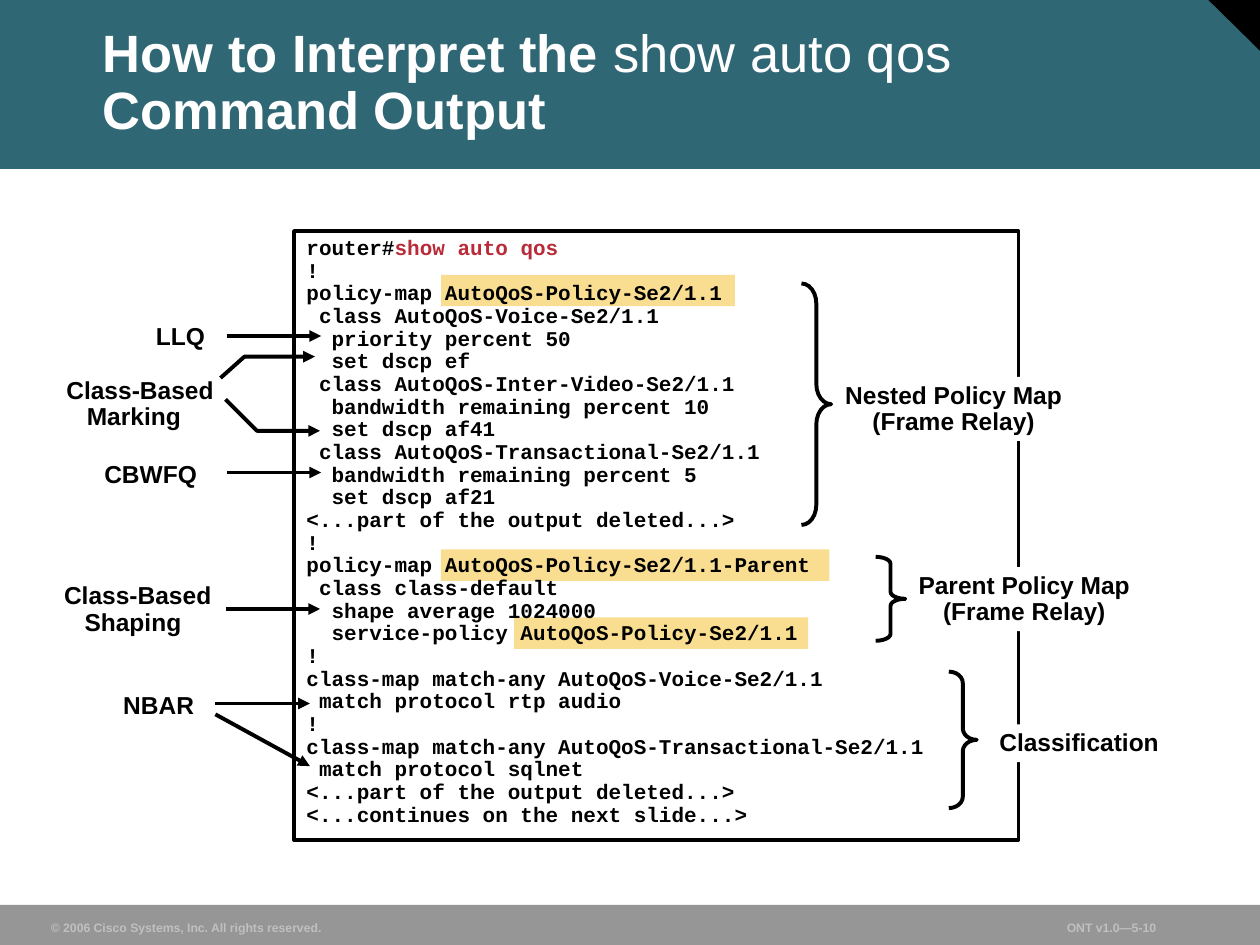
from lxml import etree
from pptx import Presentation
from pptx.dml.color import RGBColor
from pptx.enum.shapes import MSO_CONNECTOR, MSO_SHAPE
from pptx.enum.text import MSO_ANCHOR, MSO_AUTO_SIZE, PP_ALIGN
from pptx.oxml.ns import qn
from pptx.util import Pt

RECTANGLE = MSO_SHAPE.RECTANGLE
RIGHT_TRIANGLE = MSO_SHAPE.RIGHT_TRIANGLE
RIGHT_BRACE = MSO_SHAPE.RIGHT_BRACE
STRAIGHT = MSO_CONNECTOR.STRAIGHT
TOP, BOTTOM = MSO_ANCHOR.TOP, MSO_ANCHOR.BOTTOM
LEFT, CENTER = PP_ALIGN.LEFT, PP_ALIGN.CENTER
NO_AUTOSIZE = MSO_AUTO_SIZE.NONE

BLACK, WHITE = "000000", "FFFFFF"
TEAL, GRAY, SILVER = "306774", "969696", "C0C0C0"
AMBER, RED = "F9DE91", "B92B38"
LINE_WIDTH = 2.25

LISTING = """router#show auto qos
!
policy-map AutoQoS-Policy-Se2/1.1
 class AutoQoS-Voice-Se2/1.1
  priority percent 50
  set dscp ef
 class AutoQoS-Inter-Video-Se2/1.1
  bandwidth remaining percent 10
  set dscp af41
 class AutoQoS-Transactional-Se2/1.1
  bandwidth remaining percent 5
  set dscp af21
<...part of the output deleted...>
!
policy-map AutoQoS-Policy-Se2/1.1-Parent
 class class-default
  shape average 1024000
  service-policy AutoQoS-Policy-Se2/1.1
!
class-map match-any AutoQoS-Voice-Se2/1.1
 match protocol rtp audio
!
class-map match-any AutoQoS-Transactional-Se2/1.1
 match protocol sqlnet
<...part of the output deleted...>
<...continues on the next slide...>"""
PROMPT = "router#"
HIGHLIGHTS = [(84, 25, 168), (84, 182, 222), (125.8, 220.8, 168)]

MECHANISMS = [
    ("LLQ", (52.5, 0, 41, 21.6), [[(100, 10), (154, 10)]]),
    ("Class-Based\vMarking", (1.3, 30.4, 101.5, 36.7),
     [[(96.5, 34), (110.2, 21.8), (150.5, 21.8)],
      [(99.4, 46.2), (117.4, 64.2), (153.4, 64.2)]]),
    ("CBWFQ", (23, 78.6, 66.2, 21.6), [[(100, 88), (154, 88)]]),
    ("Class-Based\vShaping", (0, 147.8, 97.2, 36.7), [[(99.4, 166), (153.4, 166)]]),
    ("NBAR", (33.8, 210.4, 53.3, 21.6),
     [[(93.6, 220), (147.6, 220)], [(93.6, 226.2), (147.6, 255.8)]]),
]
SECTIONS = [
    ("Nested Policy Map\v(Frame Relay)", (290, 30, 17, 138), (308.6, 83.3, 136.8, 36.7)),
    ("Parent Policy Map\v(Frame Relay)", (332.4, 186.2, 17, 48), (350.4, 192, 133.9, 36.7)),
    ("Classification", (374.2, 251.8, 16, 78), (396.5, 282, 104.4, 21.6)),
]


def color(value):
    return RGBColor.from_string(value)


def within(box, part):
    return (box[0] + part[0], box[1] + part[1], *part[2:])


def add_block(slide, kind, box, fill=None, line=None):
    block = slide.shapes.add_shape(kind, *map(Pt, box))
    block.shadow.inherit = False
    if fill:
        block.fill.solid()
        block.fill.fore_color.rgb = color(fill)
    else:
        block.fill.background()
    if line:
        block.line.color.rgb = color(line)
        block.line.width = Pt(LINE_WIDTH)
    else:
        block.line.fill.background()
    return block


def format_run(run, size, shade, font="Arial", bold=True):
    run.font.size = Pt(size)
    run.font.name = font
    run.font.bold = bold
    run.font.color.rgb = color(shade)


def set_frame(frame, anchor=TOP, wrap=False):
    frame.auto_size = NO_AUTOSIZE
    frame.word_wrap = wrap
    frame.vertical_anchor = anchor
    frame.margin_left = frame.margin_right = Pt(7.2)
    frame.margin_top = frame.margin_bottom = Pt(3.6)


def size_breaks(paragraph, size):
    for line_break in paragraph._p.findall(qn("a:br")):
        etree.SubElement(line_break, qn("a:rPr"), sz=str(size * 100))


def write_label(frame, text, size, shade, align=LEFT, anchor=TOP, spacing=0.9):
    set_frame(frame, anchor)
    paragraph = frame.paragraphs[0]
    paragraph.text = text
    paragraph.alignment = align
    paragraph.line_spacing = spacing
    size_breaks(paragraph, size)
    for run in paragraph.runs:
        format_run(run, size, shade)
    return paragraph


def add_arrow(slide, box, points):
    points = [within(box, point) for point in points]
    if len(points) == 2:
        arrow = slide.shapes.add_connector(STRAIGHT, *(Pt(v) for point in points for v in point))
        etree.SubElement(arrow._element.spPr, qn("a:effectLst"))
    else:
        corners = [(Pt(x), Pt(y)) for x, y in points]
        builder = slide.shapes.build_freeform(*corners[0])
        builder.add_line_segments(corners[1:], close=False)
        arrow = builder.convert_to_shape()
        arrow.shadow.inherit = False
        arrow.fill.background()
    arrow.line.color.rgb = color(BLACK)
    arrow.line.width = Pt(LINE_WIDTH)
    etree.SubElement(arrow.line._get_or_add_ln(), qn("a:tailEnd"), type="triangle")


def add_header(slide, box):
    add_block(slide, RECTANGLE, box, TEAL)
    corner = add_block(slide, RIGHT_TRIANGLE, within(box, (box[2] - 30, -0.5, 30, 29.5)), BLACK)
    corner.rotation = 180
    title = slide.shapes.title
    slide.shapes._spTree.append(title._element)
    title.left, title.top, title.width, title.height = map(Pt, within(box, (51.6, 18, 641.5, 66.2)))
    set_frame(title.text_frame, BOTTOM, wrap=True)
    paragraph = title.text_frame.paragraphs[0]
    paragraph.text = "How to Interpret the "
    command = paragraph.add_run()
    command.text = "show auto qos"
    paragraph.add_line_break()
    paragraph.add_run().text = "Command Output"
    paragraph.alignment = LEFT
    paragraph.line_spacing = 0.9
    size_breaks(paragraph, 30)
    for run in paragraph.runs:
        format_run(run, 30, WHITE, bold=run.text != command.text)


def add_footer(slide, box):
    add_block(slide, RECTANGLE, box, GRAY)
    for text, left, width in (("© 2006 Cisco Systems, Inc. All rights reserved.", 22, 168),
                              ("ONT v1.0—5-10", 602.5, 90)):
        note = slide.shapes.add_textbox(*map(Pt, within(box, (left, 5.7, width, 15))))
        write_label(note.text_frame, text, 7, SILVER, anchor=BOTTOM, spacing=1.0)


def add_listing(slide, box):
    add_block(slide, RECTANGLE, box, WHITE, BLACK)
    for left, top, width in HIGHLIGHTS:
        add_block(slide, RECTANGLE, within(box, (left, top, width, 18)), AMBER)
    frame = slide.shapes.add_textbox(*map(Pt, box)).text_frame
    set_frame(frame, wrap=True)
    frame.text = LISTING
    prompt = frame.paragraphs[0]
    prompt.text = PROMPT
    command = prompt.add_run()
    command.text = LISTING.splitlines()[0].removeprefix(PROMPT)
    for paragraph in frame.paragraphs:
        paragraph.line_spacing = 0.9
        for run in paragraph.runs:
            format_run(run, 12, BLACK, "Courier New")
    command.font.color.rgb = color(RED)


def add_sections(slide, box):
    for text, brace_box, label_box in SECTIONS:
        brace = add_block(slide, RIGHT_BRACE, within(box, brace_box), line=BLACK)
        brace.adjustments[0] = brace_box[3] / brace_box[2] / 12
        label = add_block(slide, RECTANGLE, within(box, label_box), WHITE)
        write_label(label.text_frame, text, 14, BLACK, CENTER)


def add_mechanisms(slide, box):
    for text, label_box, arrows in MECHANISMS:
        label = slide.shapes.add_textbox(*map(Pt, within(box, label_box)))
        paragraph = write_label(label.text_frame, text, 14, BLACK)
        properties = paragraph._p.get_or_add_pPr()
        properties.set("marL", str(Pt(11.7)))
        properties.set("indent", str(-Pt(11.7)))
        for points in arrows:
            add_arrow(slide, box, points)


def main():
    deck = Presentation()
    deck.slide_width, deck.slide_height = Pt(720), Pt(540)
    slide = deck.slides.add_slide(deck.slide_layouts[5])
    add_header(slide, (0, 0, 720, 96.5))
    add_footer(slide, (0, 517, 720, 23))
    listing_box = (168, 132, 414, 348)
    add_listing(slide, listing_box)
    add_sections(slide, listing_box)
    add_mechanisms(slide, (29.5, 182))
    deck.save("out.pptx")


if __name__ == "__main__":
    main()
